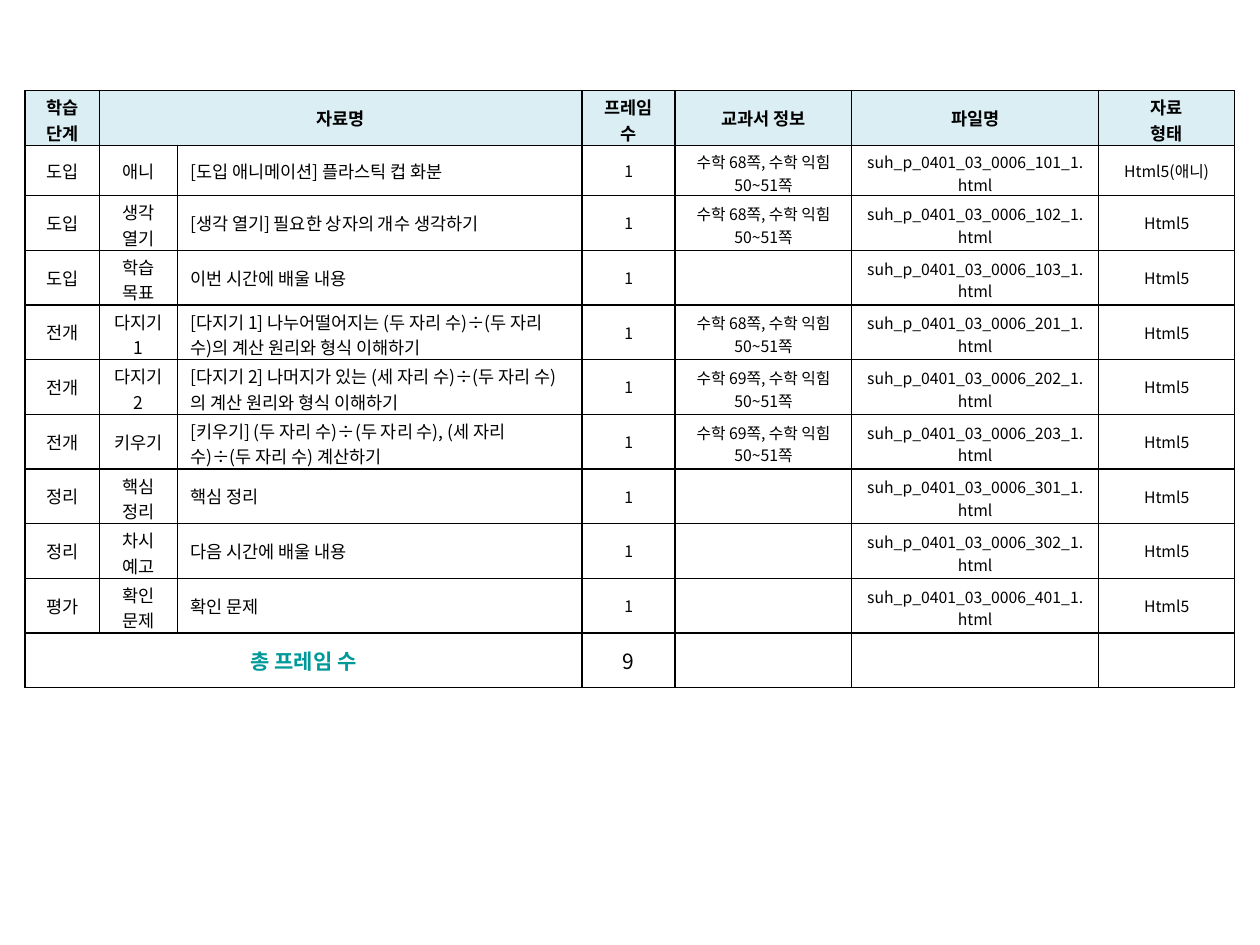
from pptx import Presentation
from pptx.dml.color import RGBColor as RGB
from pptx.enum.text import MSO_ANCHOR as Anchor, PP_ALIGN as Align
from pptx.oxml import parse_xml
from pptx.oxml.ns import nsdecls
from pptx.util import Inches, Pt

COLORS = {"ink": "000000", "head": "DBEEF4", "total": "009999"}
FONT = "Noto Sans CJK KR"
LINE = 1.45
WIDTHS = [0.59, 0.62, 3.21, 0.74, 1.4, 1.96, 1.08]
ROW = (4.73 - 0.4) / 10
HEIGHTS = [ROW, 0.4] + [ROW] * 9
SIZES = [10, 10, 10, 9, 9, 9, 9]
ONE_LINE = [3, 3, 30, 3, 10, 20, 12]
HEADER = ["학습 단계", "자료명", "", "프레임 수", "교과서 정보", "파일명", "자료\n형태"]
LESSONS = [
    ("도입", "애니", "[도입 애니메이션] 플라스틱 컵 화분", 68, 101),
    ("도입", "생각 열기", "[생각 열기] 필요한 상자의 개수 생각하기", 68, 102),
    ("도입", "학습 목표", "이번 시간에 배울 내용", None, 103),
    ("전개", "다지기1", "[다지기 1] 나누어떨어지는 (두 자리 수)÷(두 자리 수)의 계산 원리와 형식 이해하기", 68, 201),
    ("전개", "다지기 2", "[다지기 2] 나머지가 있는 (세 자리 수)÷(두 자리 수)의 계산 원리와 형식 이해하기", 69, 202),
    ("전개", "키우기", "[키우기] (두 자리 수)÷(두 자리 수), (세 자리 수)÷(두 자리 수) 계산하기", 69, 203),
    ("정리", "핵심 정리", "핵심 정리", None, 301),
    ("정리", "차시 예고", "다음 시간에 배울 내용", None, 302),
    ("평가", "확인 문제", "확인 문제", None, 401),
]


class Deck:
    def __init__(self, slide):
        self.s = slide

    def table(self, left, top, widths, heights):
        frame = self.s.shapes.add_table(
            len(heights), len(widths), Inches(left), Inches(top),
            Inches(sum(widths)), Inches(sum(heights)))
        tbl = frame.table
        tbl.first_row = tbl.horz_banding = False
        for col, width in zip(tbl.columns, widths):
            col.width = Inches(width)
        for row, height in zip(tbl.rows, heights):
            row.height = Inches(height)
        return tbl

    def cell(self, cell, text, size, color="ink", bold=False, align=Align.CENTER, fill=None):
        cell.vertical_anchor = Anchor.MIDDLE
        if fill:
            cell.fill.solid()
            cell.fill.fore_color.rgb = RGB.from_string(COLORS[fill])
        else:
            cell.fill.background()
        self.borders(cell)
        tf = cell.text_frame
        for i, line in enumerate(text.split("\n")):
            p = tf.add_paragraph() if i else tf.paragraphs[0]
            p.alignment = align
            if not line:
                p.font.size = Pt(size)
                continue
            r = p.add_run()
            r.text = line
            for key, value in {"size": Pt(size), "bold": bold, "name": FONT}.items():
                setattr(r.font, key, value)
            r.font.color.rgb = RGB.from_string(COLORS[color])
            r.font._element.append(parse_xml(f'<a:ea {nsdecls("a")} typeface="{FONT}"/>'))

    def fit_two_lines(self, cell, size, height):
        spare = max(0, height - 2 * LINE * size / 72)
        top = min(0.05, spare)
        cell.margin_top = Inches(top)
        cell.margin_bottom = Inches(min(0.05, spare - top))

    def borders(self, cell):
        pr = cell._tc.get_or_add_tcPr()
        for i, side in enumerate(("lnL", "lnR", "lnT", "lnB")):
            pr.insert(i, parse_xml(
                f'<a:{side} {nsdecls("a")} w="12700"><a:solidFill>'
                f'<a:srgbClr val="{COLORS["ink"]}"/></a:solidFill></a:{side}>'))


def lesson_row(stage, step, title, page, code):
    book = f"수학 {page}쪽, 수학 익힘 50~51쪽" if page else ""
    kind = "Html5(애니)" if step == "애니" else "Html5"
    return [stage, step, title, "1", book, f"suh_p_0401_03_0006_{code}_1.html", kind]


def main():
    prs = Presentation()
    prs.slide_width, prs.slide_height = Inches(10), Inches(7.5)
    deck = Deck(prs.slides.add_slide(prs.slide_layouts[6]))
    tbl = deck.table(0.2, 0.72, WIDTHS, HEIGHTS)
    last = len(HEIGHTS) - 1
    rows = [HEADER] + [lesson_row(*lesson) for lesson in LESSONS]
    for r, row in enumerate(rows):
        for c, text in enumerate(row):
            cell = tbl.cell(r, c)
            if r == 0:
                size, style = 10, {"bold": True, "fill": "head"}
            else:
                size, style = SIZES[c], {"align": Align.LEFT if c == 2 else Align.CENTER}
            deck.cell(cell, text, size, **style)
            if len(text) > ONE_LINE[c] or "\n" in text:
                deck.fit_two_lines(cell, size, HEIGHTS[r])
            if r and c == 2:
                cell.margin_right = Inches(0.15)
    totals = ["총 프레임 수", "", "", str(len(LESSONS)), "", "", ""]
    for c, text in enumerate(totals):
        style = {"color": "total", "bold": True} if c == 0 else {}
        deck.cell(tbl.cell(last, c), text, 12, **style)
    tbl.cell(0, 1).merge(tbl.cell(0, 2))
    tbl.cell(last, 0).merge(tbl.cell(last, 2))
    prs.save("out.pptx")


if __name__ == "__main__":
    main()
